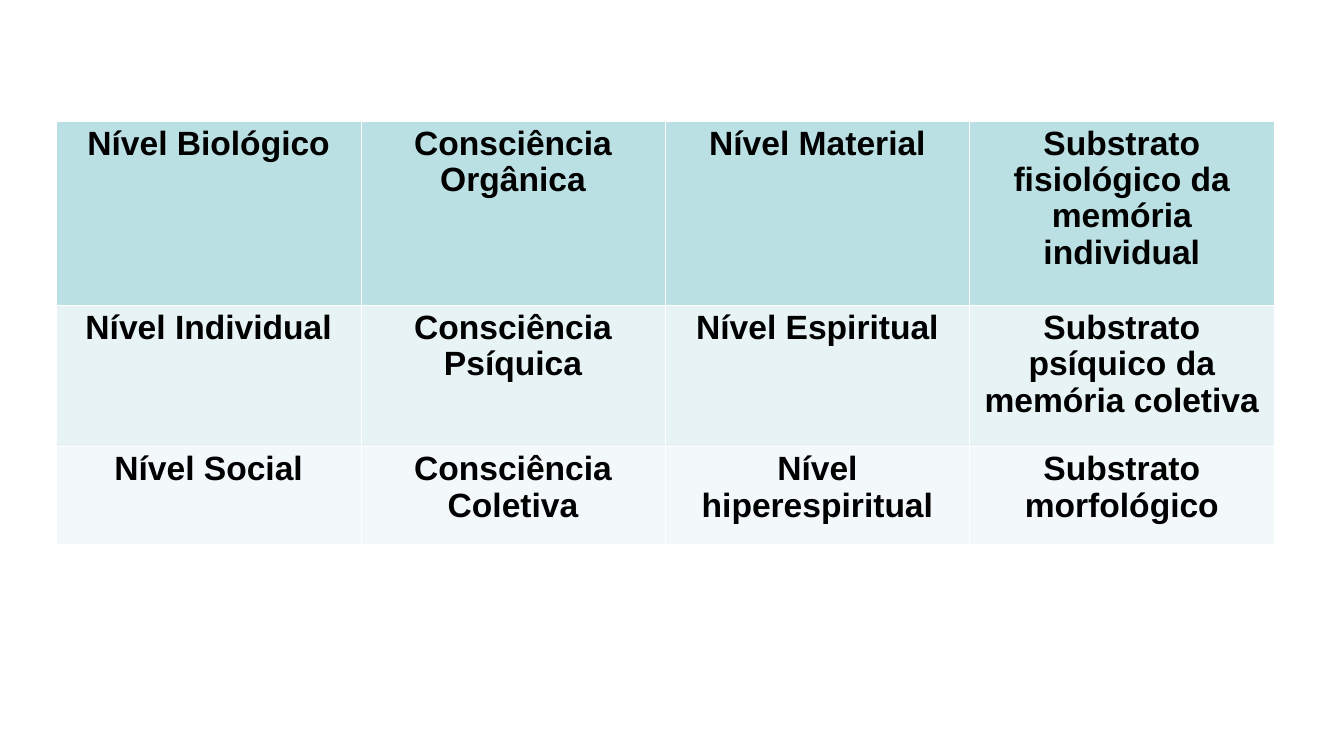
from dataclasses import dataclass

from lxml.etree import SubElement
from pptx import Presentation
from pptx.dml.color import RGBColor
from pptx.enum.text import PP_ALIGN
from pptx.oxml.ns import qn
from pptx.table import Table, _Cell
from pptx.util import Inches, Pt

WIDE, HIGH = Inches(13.34), Inches(7.5)
COL, ROW = WIDE / 100, HIGH / 100
LEFT, TOP, SPAN = 4.2, 16, 22.65
THIN, THICK = 0.45, 1.47
COLORS = {
    "text": "000000",
    "edge": "FFFFFF",
    "head": "BBE0E3",
    "mid": "E7F3F4",
    "base": "F3F9FA",
}
FONT = {"name": "Arial", "size": Pt(24), "bold": True}
PARA = {"alignment": PP_ALIGN.CENTER, "line_spacing": 0.97}


@dataclass
class Level:
    height: float
    color: str
    upper: float
    lower: float
    texts: tuple[str, ...]


LEVELS = [
    Level(24.4, "head", THIN, THICK, (
        "Nível Biológico", "Consciência Orgânica", "Nível Material",
        "Substrato fisiológico da memória individual")),
    Level(18.7, "mid", THICK, THIN, (
        "Nível Individual", "Consciência Psíquica", "Nível Espiritual",
        "Substrato psíquico da memória coletiva")),
    Level(12.9, "base", THIN, THIN, (
        "Nível Social", "Consciência Coletiva", "Nível hiperespiritual",
        "Substrato morfológico")),
]


def draw_edge(cell: _Cell, side: str, width: float) -> None:
    line = SubElement(cell._tc.get_or_add_tcPr(), qn(f"a:ln{side}"), w=str(Pt(width)))
    fill = SubElement(line, qn("a:solidFill"))
    SubElement(fill, qn("a:srgbClr"), val=COLORS["edge"])


def draw_cell(cell: _Cell, text: str, level: Level) -> None:
    edges = {"L": THIN, "R": THIN, "T": level.upper, "B": level.lower}
    for side, width in edges.items():
        draw_edge(cell, side, width)
    cell.fill.solid()
    cell.fill.fore_color.rgb = RGBColor.from_string(COLORS[level.color])
    para = cell.text_frame.paragraphs[0]
    run = para.add_run()
    run.text = text
    for item, style in ((para, PARA), (run.font, FONT)):
        for key, value in style.items():
            setattr(item, key, value)
    run.font.color.rgb = RGBColor.from_string(COLORS["text"])


def draw_level(table: Table, index: int, level: Level) -> None:
    table.rows[index].height = round(level.height * ROW)
    for place, text in enumerate(level.texts):
        draw_cell(table.cell(index, place), text, level)


def main() -> None:
    deck = Presentation()
    deck.slide_width, deck.slide_height = WIDE, HIGH
    slide = deck.slides.add_slide(deck.slide_layouts[6])
    count = len(LEVELS[0].texts)
    height = sum(level.height for level in LEVELS)
    table = slide.shapes.add_table(
        len(LEVELS), count, round(LEFT * COL), round(TOP * ROW),
        round(count * SPAN * COL), round(height * ROW)).table
    for index, level in enumerate(LEVELS):
        draw_level(table, index, level)
    deck.save("out.pptx")


if __name__ == "__main__":
    main()
